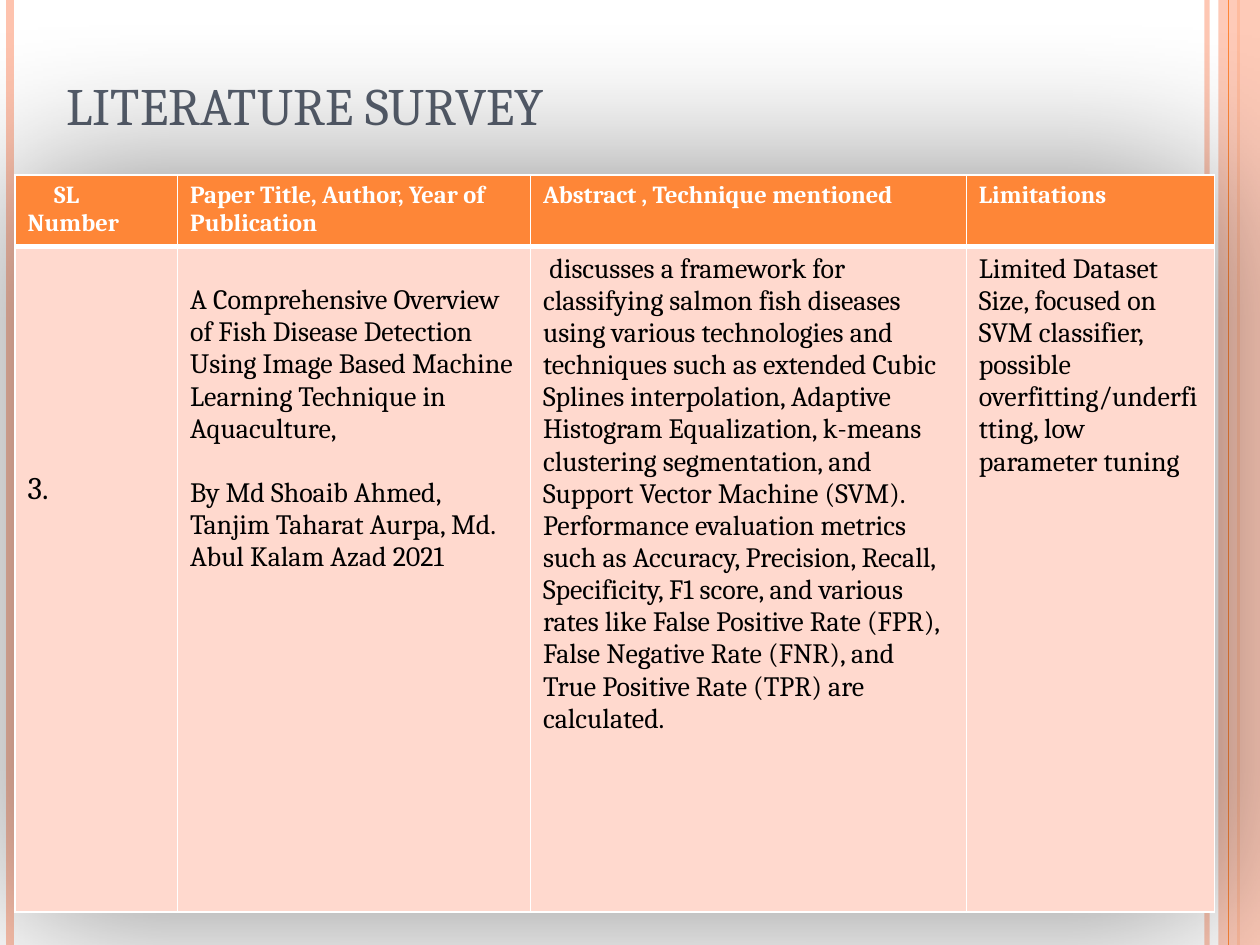
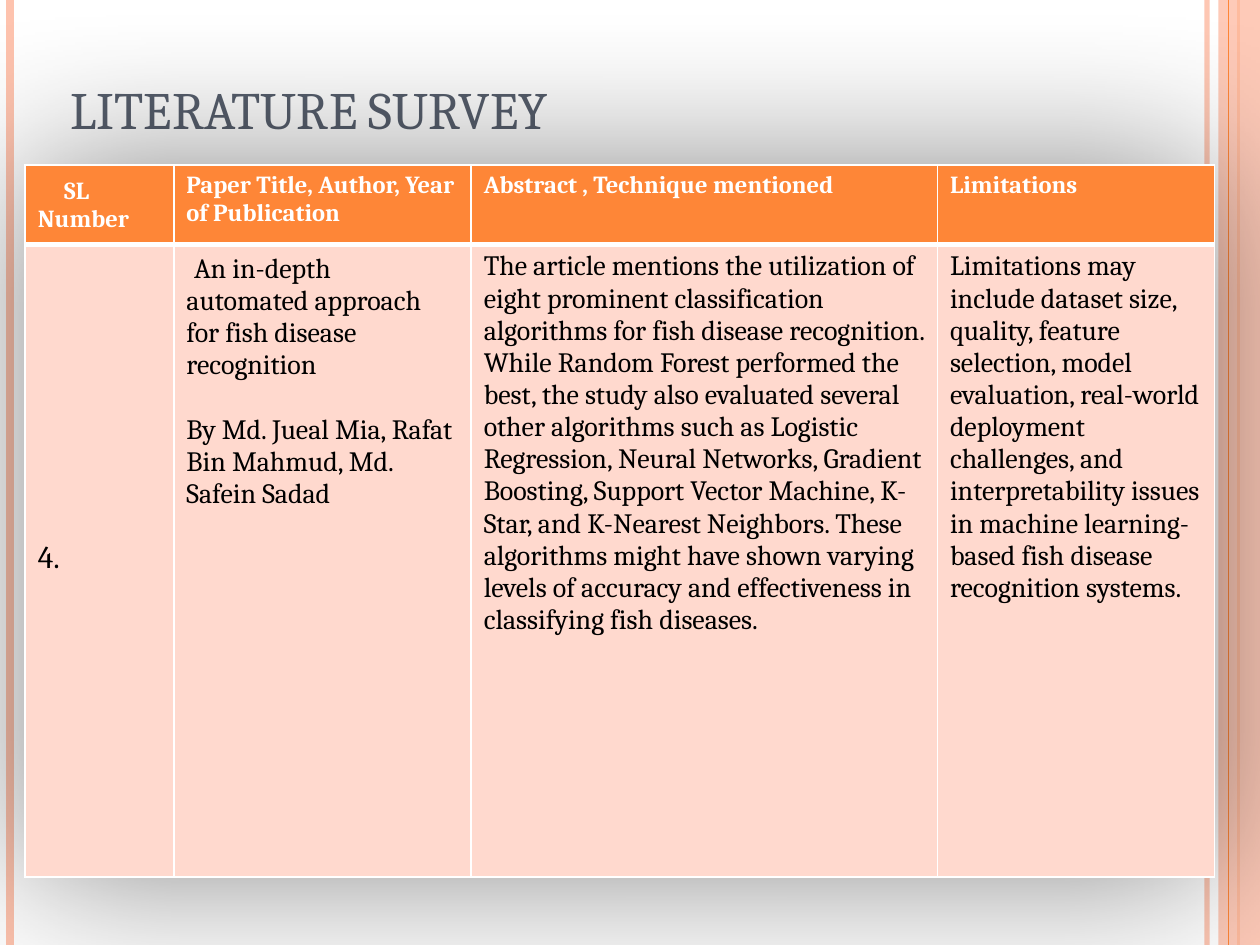
from lxml import etree
from pptx import Presentation
from pptx.dml.color import RGBColor
from pptx.enum.shapes import MSO_CONNECTOR, MSO_SHAPE
from pptx.enum.text import MSO_ANCHOR
from pptx.oxml import parse_xml
from pptx.oxml.ns import qn
from pptx.util import Inches, Pt

STRAIGHT = MSO_CONNECTOR.STRAIGHT
RECTANGLE = MSO_SHAPE.RECTANGLE
BOTTOM = MSO_ANCHOR.BOTTOM

ORANGE, PEACH, PALE = "FE8637", "FEC3AE", "FFD9CE"
WHITE, BLACK, SLATE = "FFFFFF", "000000", "575F6D"
FONT = "Cambria"
DRAWING_NS = "http://schemas.openxmlformats.org/drawingml/2006/main"
WIDTH, HEIGHT = 10, 7.5

TITLE = "LITERATURE SURVEY"
HEADINGS = [
    ["SL", "Number"],
    ["Paper Title, Author, Year of Publication"],
    ["Abstract , Technique mentioned"],
    ["Limitations"],
]
SL_INDENT = 0.21
PARAGRAPH_GAP = 18.35

# Each survey entry: cell texts, cell top margins and first-line indents.
SURVEYS = [
    {
        "title_box": (0.43, 0.18, 8.47, 0.95),
        "table_at": (0.12, 1.39),
        "columns": [1.29, 2.8, 3.46, 1.97],
        "rows": [0.54, 5.28],
        "texts": [
            ["3."],
            ["A Comprehensive Overview of Fish Disease Detection Using Image "
             "Based Machine Learning Technique in Aquaculture,",
             "By Md Shoaib Ahmed, Tanjim Taharat Aurpa, Md. Abul Kalam Azad "
             "2021"],
            ["discusses a framework for classifying salmon fish diseases "
             "using various technologies and techniques such as extended "
             "Cubic Splines interpolation, Adaptive Histogram Equalization, "
             "k-means clustering segmentation, and Support Vector Machine "
             "(SVM). Performance evaluation metrics such as Accuracy, "
             "Precision, Recall, Specificity, F1 score, and various rates "
             "like False Positive Rate (FPR), False Negative Rate (FNR), and "
             "True Positive Rate (TPR) are calculated."],
            ["Limited Dataset Size, focused on SVM classifier, possible "
             "overfitting/underfitting, low parameter tuning"],
        ],
        "sl_heading_top": 0.05,
        "tops": [1.78, 0.3, 0.05, 0.05],
        "indents": [0, 0, 0.05, 0],
    },
    {
        "title_box": (0.46, 0.21, 8.2, 0.95),
        "table_at": (0.2, 1.31),
        "columns": [1.18, 2.36, 3.7, 2.2],
        "rows": [0.63, 5.02],
        "texts": [
            ["4."],
            ["An in-depth automated approach for fish disease recognition",
             "By Md. Jueal Mia, Rafat Bin Mahmud, Md. Safein Sadad"],
            ["The article mentions the utilization of eight prominent "
             "classification algorithms for fish disease recognition. While "
             "Random Forest performed the best, the study also evaluated "
             "several other algorithms such as Logistic Regression, Neural "
             "Networks, Gradient Boosting, Support Vector Machine, K-Star, "
             "and K-Nearest Neighbors. These algorithms might have shown "
             "varying levels of accuracy and effectiveness in classifying "
             "fish diseases."],
            ["Limitations may include dataset size, quality, feature "
             "selection, model evaluation, real-world deployment challenges, "
             "and interpretability issues in machine learning-based fish "
             "disease recognition systems."],
        ],
        "sl_heading_top": 0.1,
        "tops": [2.35, 0.07, 0.05, 0.05],
        "indents": [0, 0.06, 0, 0],
    },
]


def rgb(color):
    return RGBColor.from_string(color)


def set_opacity(element, percent):
    color = element.find(".//" + qn("a:srgbClr"))
    etree.SubElement(color, qn("a:alpha")).set("val", str(percent * 1000))


def style_font(font, size, color, bold=False):
    font.name = FONT
    font.size = Pt(size)
    font.bold = bold
    font.color.rgb = rgb(color)


def add_rule(slide, x, color, weight):
    """Draw a vertical line over the full slide height."""
    rule = slide.shapes.add_connector(
        STRAIGHT, Inches(x), 0, Inches(x), Inches(HEIGHT))
    rule.line.color.rgb = rgb(color)
    rule.line.width = Pt(weight)
    etree.SubElement(rule._element.spPr, qn("a:effectLst"))
    return rule


def add_side_bands(slide):
    inner_rule = add_rule(slide, 9.58, PEACH, 3)
    set_opacity(inner_rule._element.spPr, 93)
    add_rule(slide, 0.08, PEACH, 4.5)
    add_rule(slide, 9.83, ORANGE, 1.5)
    band = slide.shapes.add_shape(
        RECTANGLE, Inches(9.67), 0, Inches(0.33), Inches(HEIGHT))
    band.shadow.inherit = False
    band.fill.solid()
    band.fill.fore_color.rgb = rgb(PEACH)
    set_opacity(band._element.spPr, 87)
    band.line.fill.background()
    add_rule(slide, 9.75, ORANGE, 0.75)


def add_title(slide, box):
    title = slide.shapes.add_textbox(*map(Inches, box))
    frame = title.text_frame
    frame.word_wrap = True
    frame.vertical_anchor = BOTTOM
    frame.text = TITLE
    style_font(frame.paragraphs[0].runs[0].font, 30, SLATE)


def set_borders(cell, bottom):
    properties = cell._tc.get_or_add_tcPr()
    weights = {"lnL": 1, "lnR": 1, "lnT": 1, "lnB": bottom}
    for position, (side, weight) in enumerate(weights.items()):
        properties.insert(position, parse_xml(
            f'<a:{side} xmlns:a="{DRAWING_NS}" w="{Pt(weight)}"><a:solidFill>'
            f'<a:srgbClr val="{WHITE}"/></a:solidFill></a:{side}>'))


def fill_cell(cell, texts, size, color, fill, bold=False, top=0.05,
              indent=0, gap=0, bottom_border=1):
    cell.fill.solid()
    cell.fill.fore_color.rgb = rgb(fill)
    set_borders(cell, bottom_border)
    cell.margin_top = Inches(top)
    frame = cell.text_frame
    frame.text = "\n".join(texts)
    for number, paragraph in enumerate(frame.paragraphs):
        if number:
            paragraph.space_before = Pt(gap)
        elif indent:
            paragraph._p.get_or_add_pPr().set("indent", str(Inches(indent)))
        style_font(paragraph.runs[0].font, size, color, bold)


def add_soft_shadow(table):
    table._tbl.tblPr.insert(0, parse_xml(
        f'<a:effectLst xmlns:a="{DRAWING_NS}">'
        f'<a:outerShdw blurRad="{Inches(1.3)}" dist="0" dir="0" '
        f'algn="ctr" rotWithShape="0"><a:srgbClr val="{BLACK}">'
        '<a:alpha val="45000"/></a:srgbClr></a:outerShdw></a:effectLst>'))


def add_survey_table(slide, survey):
    columns, rows = survey["columns"], survey["rows"]
    left, top = survey["table_at"]
    table = slide.shapes.add_table(
        len(rows), len(columns), Inches(left), Inches(top),
        Inches(sum(columns)), Inches(sum(rows))).table
    add_soft_shadow(table)
    for row, height in zip(table.rows, rows):
        row.height = Inches(height)
    for index, width in enumerate(columns):
        table.columns[index].width = Inches(width)
        is_number = index == 0
        fill_cell(table.cell(0, index), HEADINGS[index], 14, WHITE, ORANGE,
                  bold=True, bottom_border=3,
                  top=survey["sl_heading_top"] if is_number else 0.05,
                  indent=SL_INDENT if is_number else 0)
        fill_cell(table.cell(1, index), survey["texts"][index],
                  18 if is_number else 16, BLACK, PALE,
                  top=survey["tops"][index], indent=survey["indents"][index],
                  gap=PARAGRAPH_GAP)


def add_survey_slide(deck, survey):
    slide = deck.slides.add_slide(deck.slide_layouts[6])
    add_side_bands(slide)
    add_title(slide, survey["title_box"])
    add_survey_table(slide, survey)


def main():
    deck = Presentation()
    deck.slide_width, deck.slide_height = Inches(WIDTH), Inches(HEIGHT)
    for survey in SURVEYS:
        add_survey_slide(deck, survey)
    deck.save("out.pptx")


if __name__ == "__main__":
    main()
